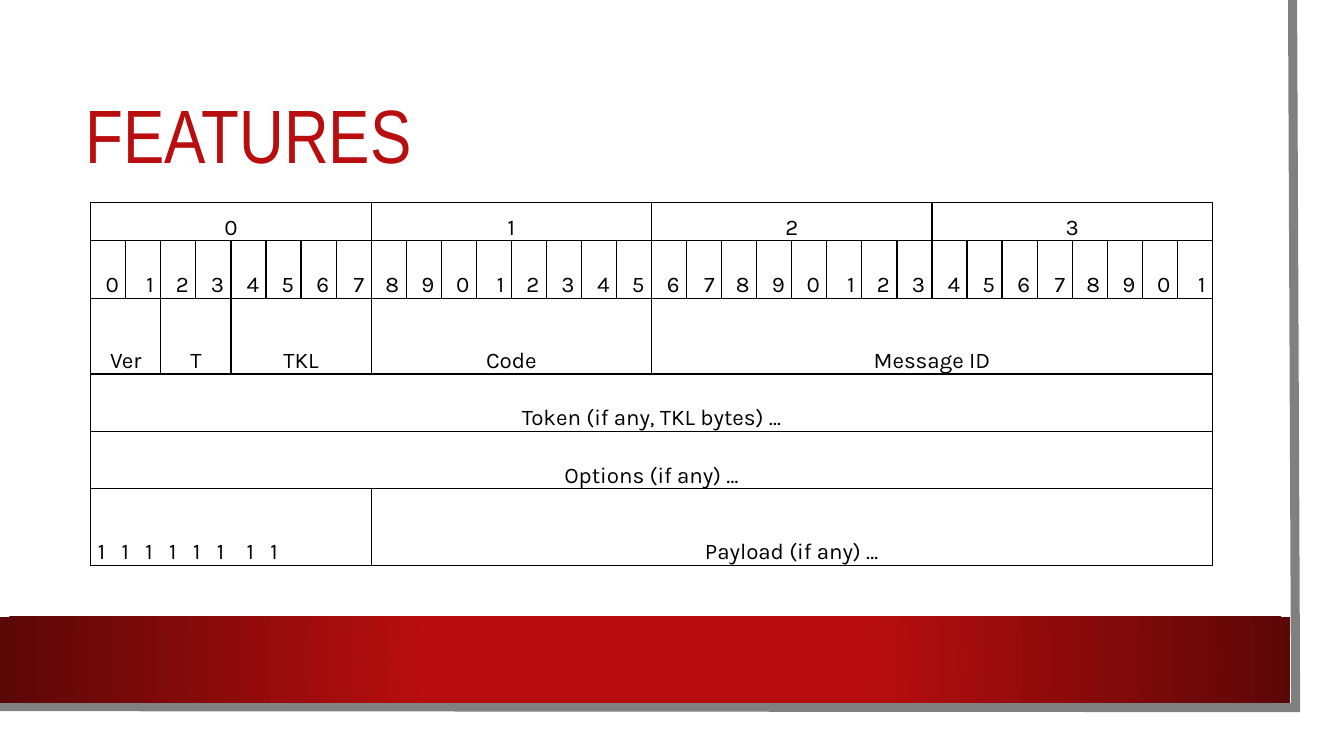
from lxml import etree
from pptx import Presentation
from pptx import util as u
from pptx.dml import color
from pptx.enum import shapes, text
from pptx.oxml import ns, parse_xml

PX = 9144
COLOURS = {"paper": "FFFFFF", "red": "B80E0F", "dark_red": "5C0707", "edge": "808080", "ink": "000000"}
ALIGN = text.PP_ALIGN
ANCHOR = text.MSO_ANCHOR
ROW_HEIGHTS = [38, 57, 75, 57, 57, 76]
BITS = 32
MARKER = [("1 1 1 1 1 1", 400), (" ", 800), ("1 1", 400)]
FIELDS = [
    [(str(byte), 8, ALIGN.CENTER) for byte in range(4)],
    [(str(bit % 10), 1, ALIGN.RIGHT) for bit in range(BITS)],
    [(name, bits, ALIGN.CENTER) for name, bits in
     [("Ver", 2), ("T", 2), ("TKL", 4), ("Code", 8), ("Message ID", 16)]],
    [("Token (if any, TKL bytes) …", 32, ALIGN.CENTER)],
    [("Options (if any) …", 32, ALIGN.CENTER)],
    [(MARKER, 8, ALIGN.JUSTIFY), ("Payload (if any) …", 24, ALIGN.CENTER)],
]


def rgb(name):
    return color.RGBColor.from_string(COLOURS[name])


def write(frame, content, size=16, font="Karla", colour="ink", align=ALIGN.LEFT, leading=1.07):
    para = frame.paragraphs[0]
    para.alignment = align
    para.line_spacing = leading
    para.space_before = u.Pt(0)
    spans = [(content, 0)] if isinstance(content, str) else content
    for words, tracking in spans:
        span = para.add_run()
        span.text = words
        span.font.size = u.Pt(size)
        span.font.name = font
        span.font.color.rgb = rgb(colour)
        if tracking:
            span.font._element.set("spc", str(tracking))


class HeaderSlide:
    """Holds the deck, its current slide and the drawing style."""

    def __init__(self, width, height):
        self.deck = Presentation()
        self.deck.slide_width = width * PX
        self.deck.slide_height = height * PX
        self.page = self.deck.slides.add_slide(self.deck.slide_layouts[5])

    def panel(self, left, top, width, height, colour):
        box = self.page.shapes.add_shape(
            shapes.MSO_SHAPE.RECTANGLE, left * PX, top * PX, width * PX, height * PX)
        box.shadow.inherit = False
        box.fill.solid()
        box.fill.fore_color.rgb = rgb(colour)
        box.line.fill.background()
        return box

    def glowing_band(self, left, top, width, height):
        band = self.panel(left, top, width, height, "red")
        properties = band.element.spPr
        stops = "".join(
            f'<a:gs pos="{place}"><a:srgbClr val="{COLOURS[name]}"/></a:gs>'
            for place, name in [(34000, "red"), (100000, "dark_red")])
        gradient = parse_xml(
            f'<a:gradFill {ns.nsdecls("a")} rotWithShape="1"><a:gsLst>{stops}</a:gsLst>'
            '<a:path path="circle"><a:fillToRect l="50000" t="50000" r="50000" b="50000"/></a:path>'
            '</a:gradFill>')
        properties.replace(properties.find(ns.qn("a:solidFill")), gradient)

    def page_edge(self, points, weight):
        builder = self.page.shapes.build_freeform(*points[0], scale=PX)
        builder.add_line_segments(points[1:], close=False)
        edge = builder.convert_to_shape()
        edge.shadow.inherit = False
        edge.fill.background()
        edge.line.color.rgb = rgb("edge")
        edge.line.width = u.Pt(weight)
        miter = etree.SubElement(edge.element.spPr.find(ns.qn("a:ln")), ns.qn("a:miter"))
        miter.set("lim", "800000")

    def title(self, words, left, top, width, height):
        title = self.page.shapes.title
        title.left, title.top, title.width, title.height = (
            length * PX for length in (left, top, width, height))
        frame = title.text_frame
        frame.auto_size = text.MSO_AUTO_SIZE.NONE
        frame.vertical_anchor = ANCHOR.MIDDLE
        write(frame, words, size=54, font="Arial Narrow", colour="red", leading=0.9)
        title.element.getparent().append(title.element)

    def style_cell(self, cell):
        cell.margin_left = cell.margin_right = 7 * PX
        cell.margin_top = cell.margin_bottom = 0
        cell.vertical_anchor = ANCHOR.BOTTOM
        cell.fill.background()
        properties = cell._tc.get_or_add_tcPr()
        for place, side in enumerate(("lnL", "lnR", "lnT", "lnB")):
            properties.insert(place, parse_xml(
                f'<a:{side} {ns.nsdecls("a")} w="12700"><a:solidFill>'
                f'<a:srgbClr val="{COLOURS["ink"]}"/></a:solidFill></a:{side}>'))

    def bit_table(self, left, top, width, heights, fields):
        table = self.page.shapes.add_table(
            len(heights), BITS, left * PX, top * PX, width * PX, sum(heights) * PX).table
        table.first_row = table.horz_banding = False
        for cell in table.iter_cells():
            self.style_cell(cell)
        for row, (height, row_fields) in enumerate(zip(heights, fields)):
            table.rows[row].height = height * PX
            start = 0
            for words, bits, align in row_fields:
                cell = table.cell(row, start)
                if bits > 1:
                    cell.merge(table.cell(row, start + bits - 1))
                write(cell.text_frame, words, align=align)
                start += bits


def main():
    slide = HeaderSlide(1333, 750)
    slide.panel(0, 0, 1310, 727, "paper")
    slide.page_edge([(1282, 0), (1285, 702), (-3, 701)], 6.5)
    slide.glowing_band(0, 612, 1280, 85)
    slide.title("FEATURES", 75, 75, 1137, 126)
    slide.bit_table(90, 201, 1113, ROW_HEIGHTS, FIELDS)
    slide.deck.save("out.pptx")


if __name__ == "__main__":
    main()
